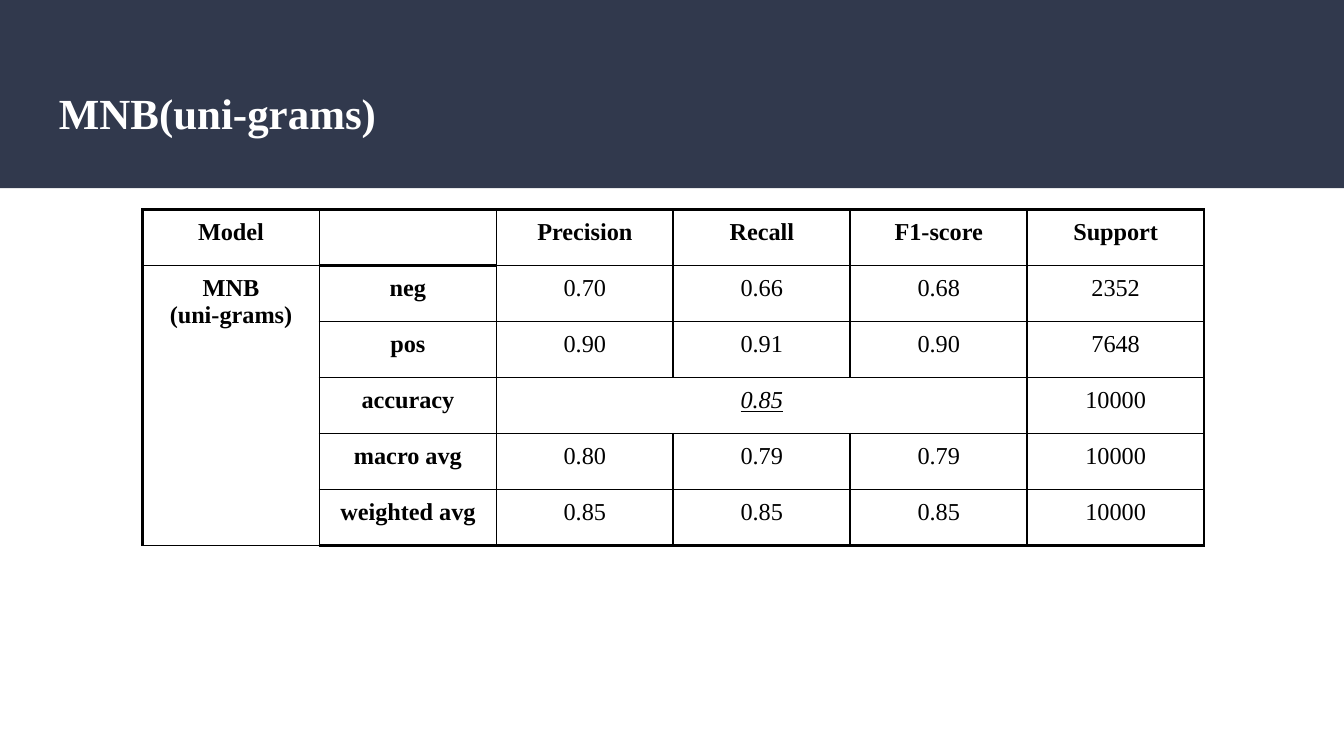
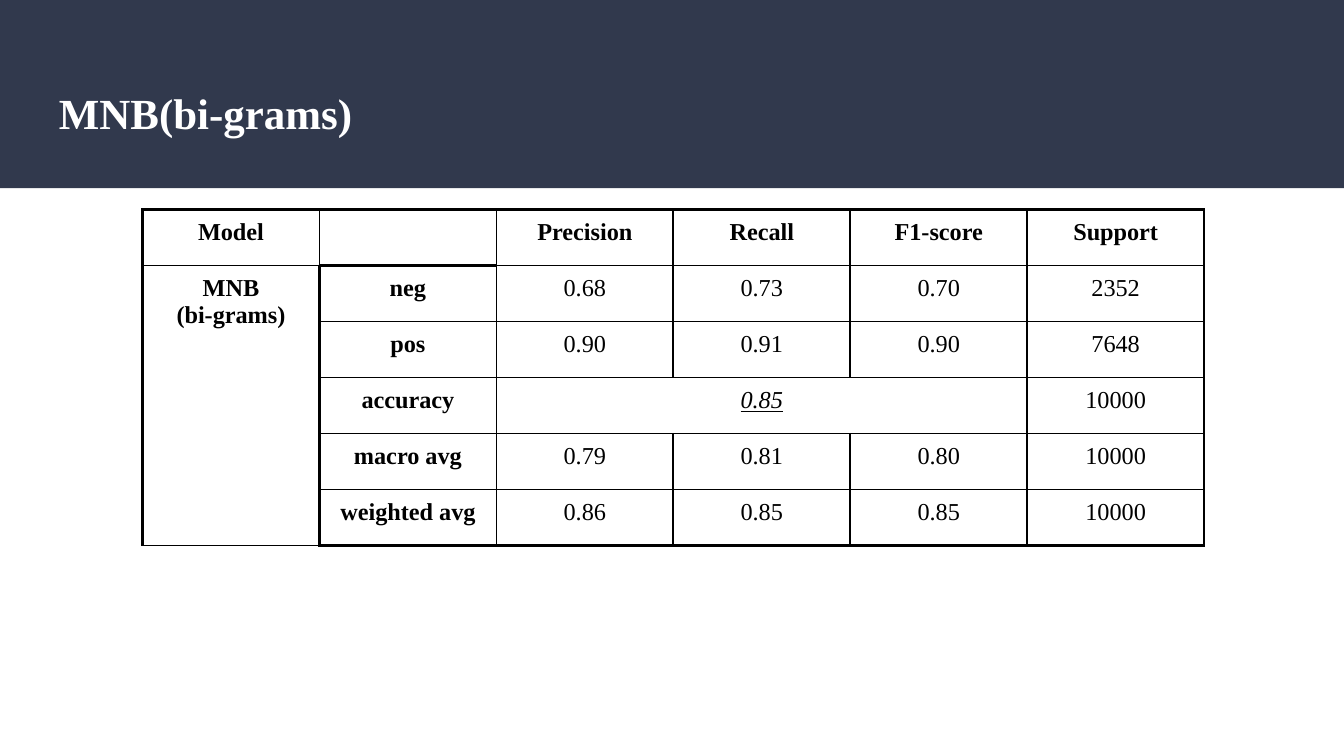
"""Build two slides reporting MNB classification scores for uni-grams and bi-grams."""
from dataclasses import dataclass

from lxml import etree
from pptx import Presentation
from pptx import util as u
from pptx.dml.color import RGBColor
from pptx.enum import shapes, text
from pptx.oxml.ns import qn
from pptx.slide import Slide
from pptx.table import Table, _Cell
from pptx.text.text import TextFrame

COLORS = {"band": "31394D", "paper": "FFFFFF", "ink": "000000"}
FONT = "Times New Roman"
HEADINGS = ["Model", "", "Precision", "Recall", "F1-score", "Support"]
MEASURES = ["neg", "pos", "accuracy", "macro avg", "weighted avg"]
SUPPORT = ["2352", "7648", "10000", "10000", "10000"]
ROWS, COLUMNS = len(MEASURES) + 1, len(HEADINGS)
ACCURACY_ROW = MEASURES.index("accuracy") + 1
THIN, HEAVY = u.Pt(1), u.Pt(1.5)


@dataclass(frozen=True)
class Report:
    grams: str
    scores: list[list[str]]
    heavy_divider: bool = False


REPORTS = [
    Report("(uni-grams)", [
        ["0.70", "0.66", "0.68"],
        ["0.90", "0.91", "0.90"],
        ["0.85", "", ""],
        ["0.80", "0.79", "0.79"],
        ["0.85", "0.85", "0.85"],
    ]),
    Report("(bi-grams)", [
        ["0.68", "0.73", "0.70"],
        ["0.90", "0.91", "0.90"],
        ["0.85", "", ""],
        ["0.79", "0.81", "0.80"],
        ["0.86", "0.85", "0.85"],
    ], heavy_divider=True),
]


def write(frame: TextFrame, content: str, *, size: float = 13, color: str = "ink",
          bold: bool = False, emphasis: bool = False, spacing: float = 1.0,
          after: float = 0, align: text.PP_ALIGN = text.PP_ALIGN.CENTER) -> None:
    """Write each line of content as a formatted paragraph."""
    for index, line in enumerate(content.split("\n")):
        paragraph = frame.add_paragraph() if index else frame.paragraphs[0]
        paragraph.alignment = align
        paragraph.line_spacing = spacing
        paragraph.space_after = u.Pt(after)
        run = paragraph.add_run()
        run.text = line
        run.font.name = FONT
        run.font.size = u.Pt(size)
        run.font.bold = bold
        run.font.italic = run.font.underline = emphasis
        run.font.color.rgb = RGBColor.from_string(COLORS[color])


def add_header(slide: Slide, title: str) -> None:
    """Draw the dark band and the slide title on it."""
    band = slide.shapes.add_shape(shapes.MSO_SHAPE.RECTANGLE, 0, 0, u.Inches(10), u.Inches(1.4))
    band.shadow.inherit = False
    band.fill.solid()
    band.fill.fore_color.rgb = RGBColor.from_string(COLORS["band"])
    band.line.fill.background()
    heading = slide.shapes.add_textbox(u.Inches(0.34), u.Inches(0.55), u.Inches(9.32), u.Inches(0.68))
    frame = heading.text_frame
    frame.word_wrap = True
    frame.vertical_anchor = text.MSO_ANCHOR.MIDDLE
    frame.margin_left = frame.margin_right = frame.margin_top = u.Inches(0.1)
    frame.margin_bottom = u.Inches(0.16)
    write(frame, title, size=23, color="paper", bold=True, spacing=0.9, align=text.PP_ALIGN.LEFT)


def style_cell(cell: _Cell, row: int, column: int, heavy_divider: bool) -> None:
    """Give a cell its borders and fill according to its place in the grid."""
    divider = heavy_divider and row > 0
    heavy_sides = {
        "a:lnL": column == 0 or (divider and column == 1),
        "a:lnR": column == COLUMNS - 1 or (divider and column == 0),
        "a:lnT": row == 0 or (row, column) == (1, 1),
        "a:lnB": row == ROWS - 1 or (row, column) == (0, 1),
    }
    properties = cell._tc.get_or_add_tcPr()
    for side, heavy in heavy_sides.items():
        border = etree.SubElement(properties, qn(side), w=str(HEAVY if heavy else THIN))
        ink = etree.SubElement(border, qn("a:solidFill"))
        etree.SubElement(ink, qn("a:srgbClr"), val=COLORS["ink"])
    cell.fill.solid()
    cell.fill.fore_color.rgb = RGBColor.from_string(COLORS["paper"])


def fill_cells(table: Table, report: Report) -> None:
    """Style every cell and write the headings, measures and scores."""
    grid = [HEADINGS]
    for index, (measure, scores, support) in enumerate(zip(MEASURES, report.scores, SUPPORT)):
        model = "" if index else f"MNB\n{report.grams}"
        grid.append([model, measure, *scores, support])
    for row, entries in enumerate(grid):
        for column, entry in enumerate(entries):
            cell = table.cell(row, column)
            style_cell(cell, row, column, report.heavy_divider)
            if entry:
                cell.margin_left = cell.margin_right = u.Inches(0.07)
                cell.margin_top = cell.margin_bottom = u.Inches(0.07)
                tight = column == 0 or (row == 0 and column == COLUMNS - 1)
                write(cell.text_frame, entry, bold=row == 0 or column < 2,
                      emphasis=(row, column) == (ACCURACY_ROW, 2), after=0 if tight else 16)


def add_scores(slide: Slide, report: Report) -> None:
    """Add the table of scores."""
    table = slide.shapes.add_table(ROWS, COLUMNS, u.Inches(1.06), u.Inches(1.56),
                                   u.Inches(7.9), u.Inches(2.5)).table
    table.first_row = table.horz_banding = False
    table.cell(1, 0).merge(table.cell(ROWS - 1, 0))
    table.cell(ACCURACY_ROW, 2).merge(table.cell(ACCURACY_ROW, 4))
    fill_cells(table, report)


def main() -> None:
    """Build and save the presentation."""
    deck = Presentation()
    deck.slide_width = u.Inches(10)
    deck.slide_height = u.Inches(10) * 9 // 16
    for report in REPORTS:
        slide = deck.slides.add_slide(deck.slide_layouts[6])
        add_header(slide, f"MNB{report.grams}")
        add_scores(slide, report)
    deck.save("out.pptx")


if __name__ == "__main__":
    main()
